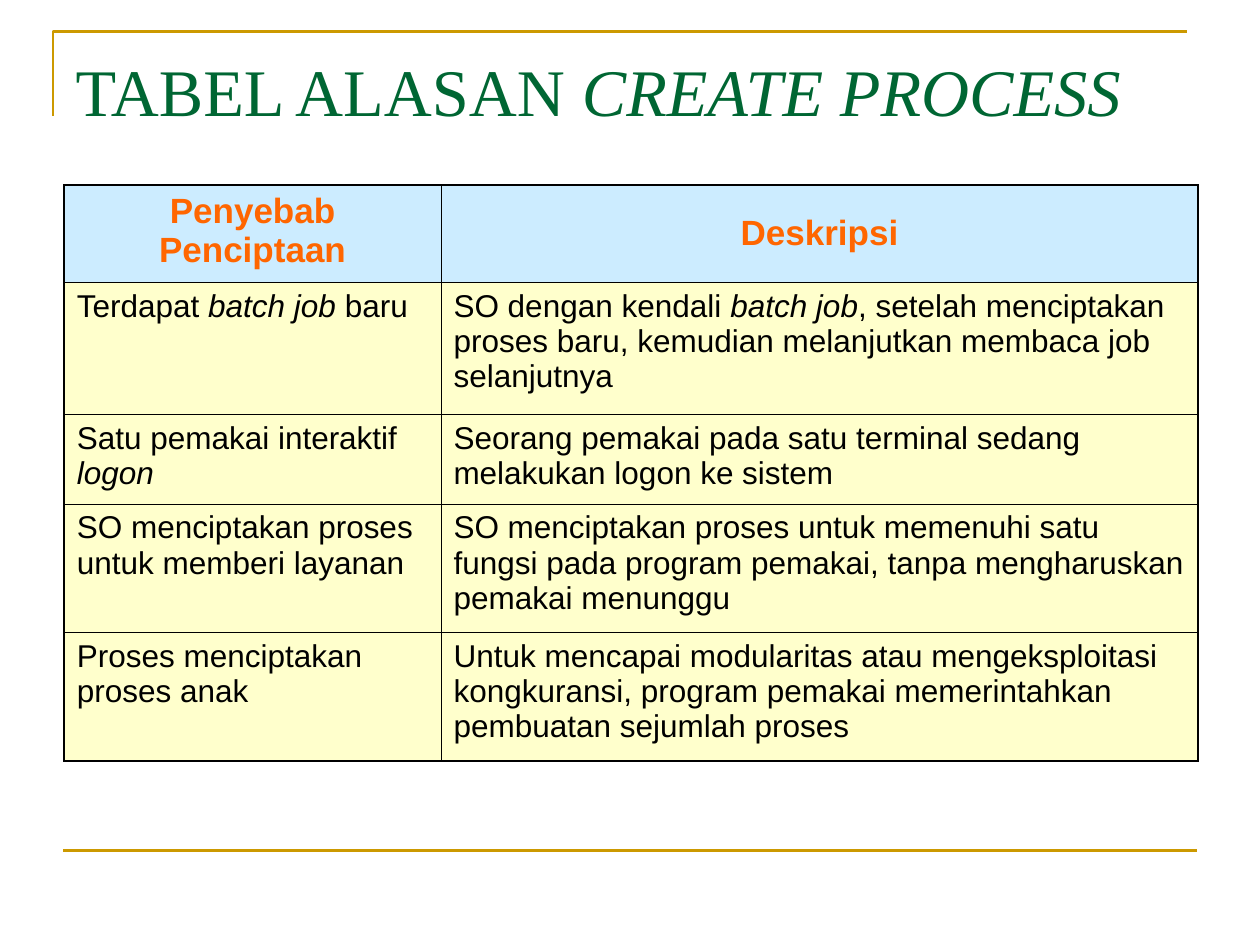
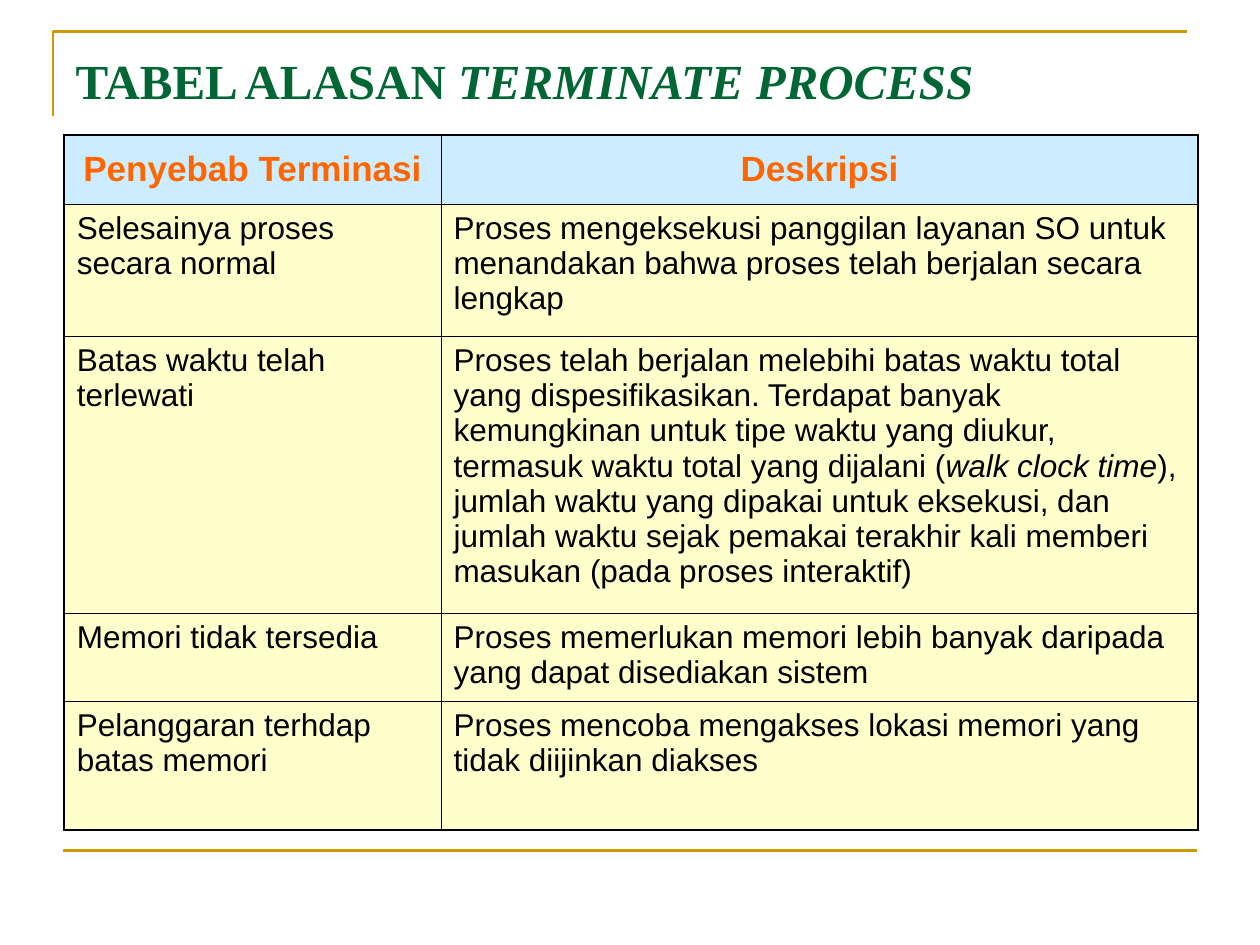
import lxml.etree
import pptx
import pptx.dml.color
import pptx.enum.dml
import pptx.enum.shapes
import pptx.enum.text
import pptx.oxml.ns
import pptx.util

RGBColor = pptx.dml.color.RGBColor
GOLD = RGBColor(0xCC, 0x99, 0x00)
GREEN = RGBColor(0x00, 0x66, 0x33)
ORANGE = RGBColor(0xFF, 0x66, 0x00)
BLACK = RGBColor(0x00, 0x00, 0x00)
PALE_BLUE = RGBColor(0xCC, 0xEC, 0xFF)
PALE_YELLOW = RGBColor(0xFF, 0xFF, 0xCC)

HEADER_FONT = {"name": "Arial", "size": pptx.util.Pt(20), "bold": True}
BODY_FONT = {"name": "Arial", "size": pptx.util.Pt(18), "bold": False}
OUTER_BORDER, INNER_BORDER = pptx.util.Pt(1.08), pptx.util.Pt(0.45)
COLUMN_SHARES = (0.299, 0.601)

# Words between asterisks are italic; row heights and tops are in inches.
PAGES = [
    {
        "title": "TABEL ALASAN *CREATE PROCESS*",
        "title_font": {"name": "Times New Roman", "size": pptx.util.Pt(38), "bold": False},
        "title_height": 1.25,
        "table_top": 1.47,
        "row_heights": (0.77, 1.05, 0.71, 1.02, 1.02),
        "rows": [
            ("Penyebab Penciptaan", "Deskripsi"),
            ("Terdapat *batch job *baru",
             "SO dengan kendali *batch job*, setelah menciptakan proses baru, "
             "kemudian melanjutkan membaca job selanjutnya"),
            ("Satu pemakai interaktif *logon*",
             "Seorang pemakai pada satu terminal sedang melakukan logon ke sistem"),
            ("SO menciptakan proses untuk memberi layanan",
             "SO menciptakan proses untuk memenuhi satu fungsi pada program pemakai, "
             "tanpa mengharuskan pemakai menunggu"),
            ("Proses menciptakan proses anak",
             "Untuk mencapai modularitas atau mengeksploitasi kongkuransi, program "
             "pemakai memerintahkan pembuatan sejumlah proses"),
        ],
    },
    {
        "title": "TABEL ALASAN *TERMINATE PROCESS*",
        "title_font": {"name": "Times New Roman", "size": pptx.util.Pt(28), "bold": True},
        "title_height": 0.77,
        "table_top": 1.07,
        "row_heights": (0.55, 1.05, 2.2, 0.7, 1.02),
        "rows": [
            ("Penyebab Terminasi", "Deskripsi"),
            ("Selesainya proses secara normal",
             "Proses mengeksekusi panggilan layanan SO untuk menandakan bahwa proses "
             "telah berjalan secara lengkap"),
            ("Batas waktu telah terlewati",
             "Proses telah berjalan melebihi batas waktu total yang dispesifikasikan. "
             "Terdapat banyak kemungkinan untuk tipe waktu yang diukur, termasuk waktu "
             "total yang dijalani (*walk clock time*), jumlah waktu yang dipakai untuk "
             "eksekusi, dan jumlah waktu sejak pemakai terakhir kali memberi masukan "
             "(pada proses interaktif)"),
            ("Memori tidak tersedia",
             "Proses memerlukan memori lebih banyak daripada yang dapat disediakan sistem"),
            ("Pelanggaran terhdap batas memori",
             "Proses mencoba mengakses lokasi memori yang tidak diijinkan diakses"),
        ],
    },
]


def write_text(para, text, font_values, color):
    """Fill a paragraph, with every part between asterisks in italics."""
    for index, part in enumerate(text.split("*")):
        if part:
            span = para.add_run()
            span.text = part
            for name, value in font_values.items():
                setattr(span.font, name, value)
            span.font.italic = index % 2 == 1
            span.font.color.rgb = color


def set_border(cell, side, width):
    """Draw one side of a cell: L, R, T or B, called in that order."""
    line = lxml.etree.SubElement(cell._tc.get_or_add_tcPr(),
                                 pptx.oxml.ns.qn(f"a:ln{side}"), w=str(width))
    fill = lxml.etree.SubElement(line, pptx.oxml.ns.qn("a:solidFill"))
    lxml.etree.SubElement(fill, pptx.oxml.ns.qn("a:srgbClr"), val=str(BLACK))


deck = pptx.Presentation()
deck.slide_width, deck.slide_height = pptx.util.Inches(10), pptx.util.Inches(7.5)
margin = int(deck.slide_width * 0.05)
content_width = int(deck.slide_width * 0.9)
rule_top = int(deck.slide_height * 0.9)
corner_left = pptx.util.Inches(0.42)
corner_top = pptx.util.Inches(0.25)
corner_bottom = pptx.util.Inches(0.92)

for page in PAGES:
    slide = deck.slides.add_slide(deck.slide_layouts[5])

    # Gold corner and bottom rule
    outline = slide.shapes.build_freeform(corner_left, corner_bottom)
    outline.add_line_segments([(corner_left, corner_top),
                               (corner_left + content_width, corner_top)], close=False)
    corner = outline.convert_to_shape()
    corner.fill.background()
    corner.shadow.inherit = False
    rule = slide.shapes.add_connector(pptx.enum.shapes.MSO_CONNECTOR.STRAIGHT,
                                      margin, rule_top, margin + content_width, rule_top)
    lxml.etree.SubElement(rule._element.spPr, pptx.oxml.ns.qn("a:effectLst"))
    for stroke in (corner, rule):
        stroke.line.color.rgb = GOLD
        stroke.line.width = pptx.util.Pt(1.5)

    # Title
    title = slide.shapes.title
    place = {"left": margin, "top": pptx.util.Inches(0.3), "width": content_width,
             "height": pptx.util.Inches(page["title_height"])}
    for name, value in place.items():
        setattr(title, name, value)
    frame_values = {"word_wrap": True, "margin_top": pptx.util.Inches(0.1),
                    "auto_size": pptx.enum.text.MSO_AUTO_SIZE.NONE,
                    "vertical_anchor": pptx.enum.text.MSO_ANCHOR.TOP}
    for name, value in frame_values.items():
        setattr(title.text_frame, name, value)
    heading = title.text_frame.paragraphs[0]
    heading.alignment = pptx.enum.text.PP_ALIGN.LEFT
    write_text(heading, page["title"], page["title_font"], GREEN)

    # Table
    rows = page["rows"]
    table = slide.shapes.add_table(
        len(rows), len(COLUMN_SHARES), pptx.util.Inches(0.51),
        pptx.util.Inches(page["table_top"]), content_width,
        pptx.util.Inches(sum(page["row_heights"]))).table
    table.horz_banding = False
    for column, share in zip(table.columns, COLUMN_SHARES):
        column.width = int(deck.slide_width * share)
    last_row, last_column = len(rows) - 1, len(COLUMN_SHARES) - 1

    for row_index, (texts, height) in enumerate(zip(rows, page["row_heights"])):
        table.rows[row_index].height = pptx.util.Inches(height)
        is_header = row_index == 0
        for column_index, text in enumerate(texts):
            cell = table.cell(row_index, column_index)
            outer_sides = {"L": column_index == 0, "R": column_index == last_column,
                           "T": is_header, "B": row_index == last_row}
            for side, is_outer in outer_sides.items():
                set_border(cell, side, OUTER_BORDER if is_outer else INNER_BORDER)
            cell.fill.solid()
            cell.fill.fore_color.rgb = PALE_BLUE if is_header else PALE_YELLOW
            para = cell.text_frame.paragraphs[0]
            if is_header:
                cell.vertical_anchor = pptx.enum.text.MSO_ANCHOR.MIDDLE
                para.alignment = pptx.enum.text.PP_ALIGN.CENTER
                write_text(para, text, HEADER_FONT, ORANGE)
            else:
                write_text(para, text, BODY_FONT, BLACK)
    if page is PAGES[0]:
        table.cell(0, 0).vertical_anchor = pptx.enum.text.MSO_ANCHOR.TOP

deck.save("out.pptx")
